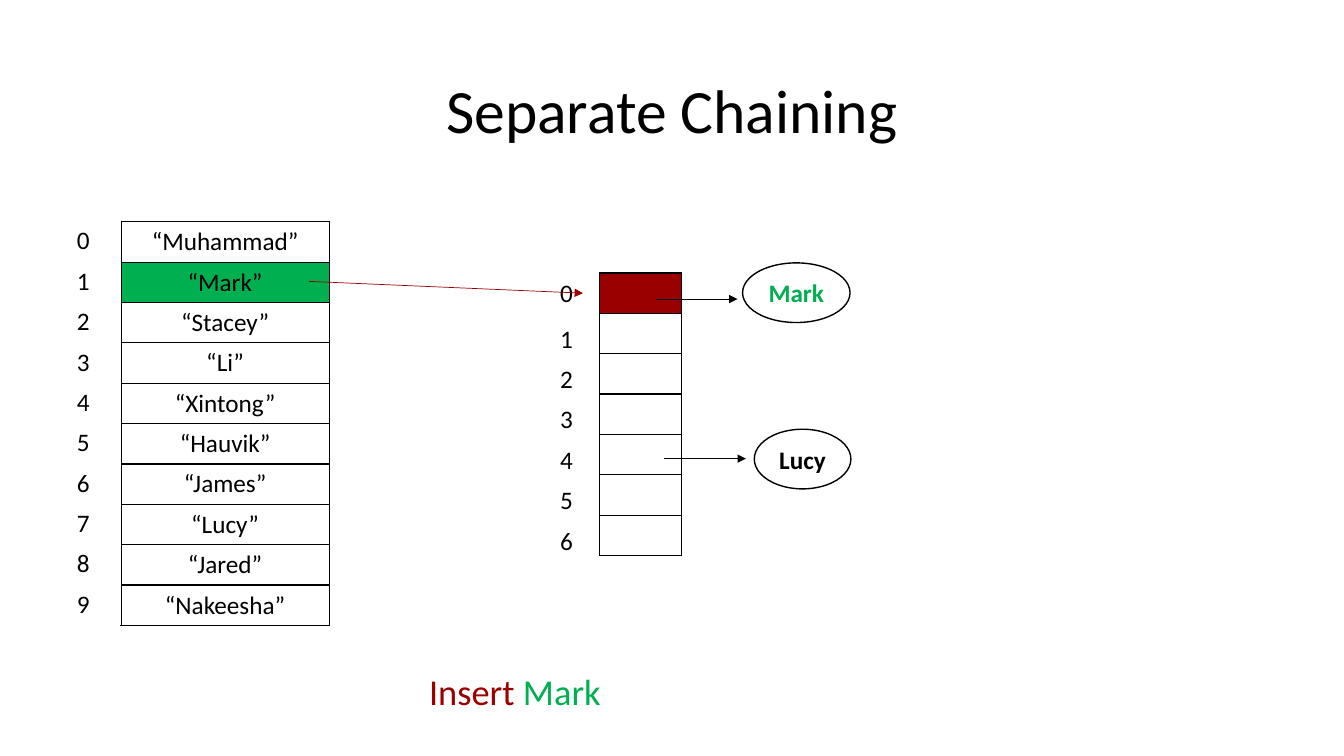
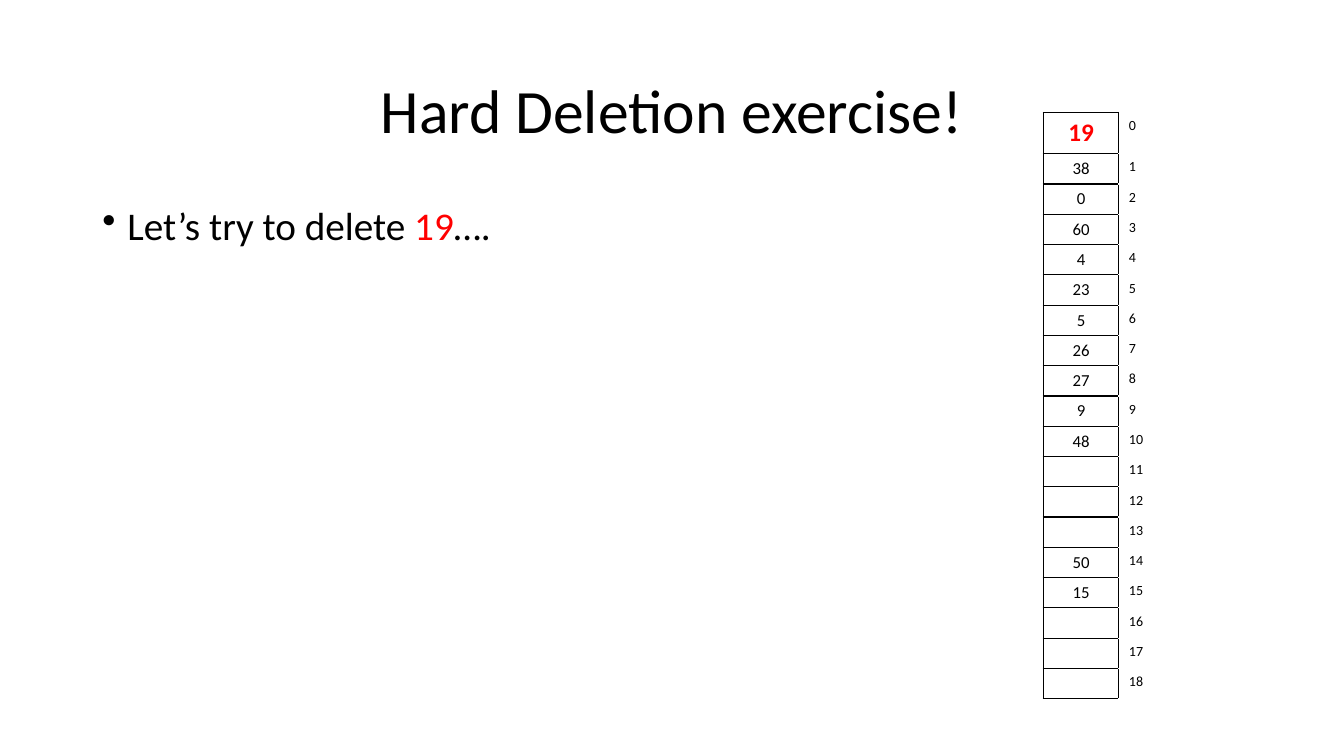
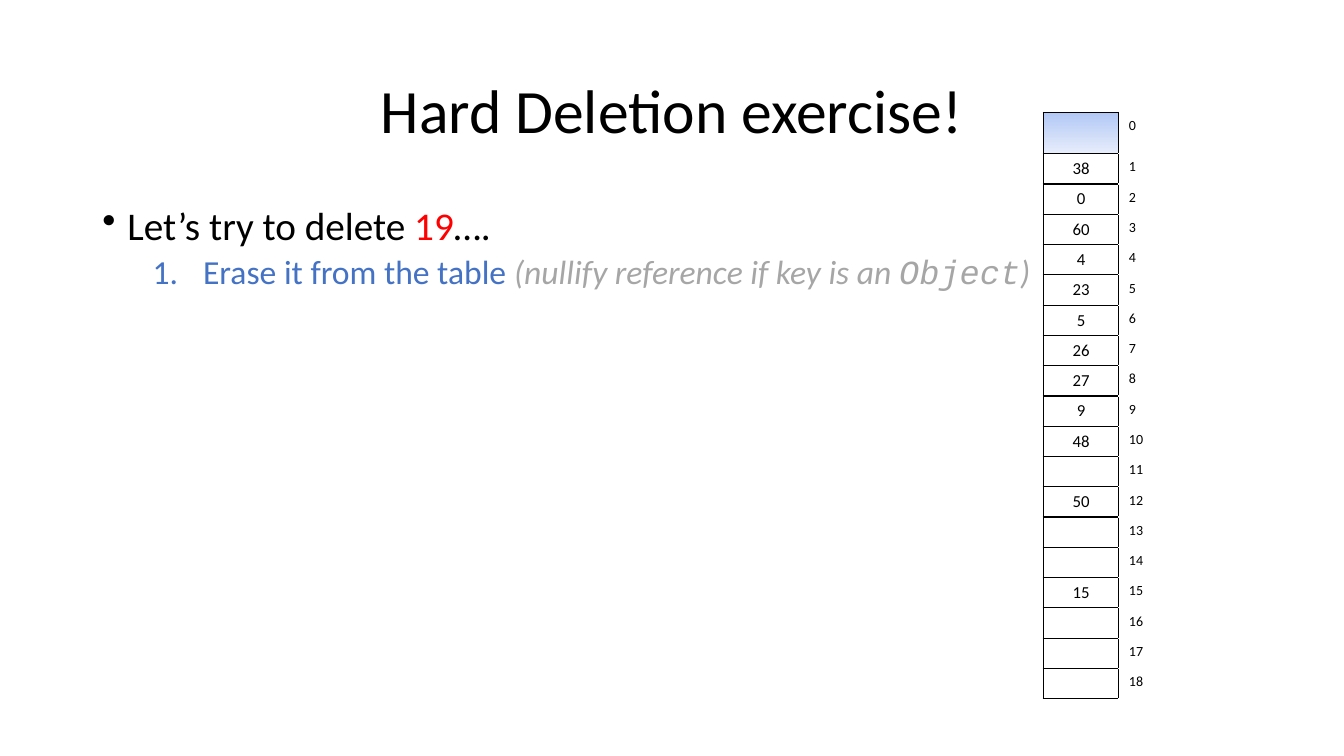
from lxml import etree
from pptx import Presentation
from pptx.dml.color import RGBColor
from pptx.enum.shapes import MSO_CONNECTOR, MSO_SHAPE
from pptx.enum.text import MSO_ANCHOR, PP_ALIGN
from pptx.oxml.ns import qn
from pptx.util import Emu, Pt

CENTER, LEFT = PP_ALIGN.CENTER, PP_ALIGN.LEFT
MIDDLE = MSO_ANCHOR.MIDDLE
OVAL, STRAIGHT = MSO_SHAPE.OVAL, MSO_CONNECTOR.STRAIGHT
FONT, CODE_FONT = "Calibri", "Courier New"
BLACK, WHITE, RED, DARK_RED = "000000", "FFFFFF", "FF0000", "990000"
GREEN, BLUE, GRAY = "00B050", "4472C4", "A6A6A6"
color = RGBColor.from_string

presentation = Presentation()
presentation.slide_width = Emu(12192000)
presentation.slide_height = Emu(6858000)
COLUMN = presentation.slide_width // 1600
ROW = presentation.slide_height // 900


def write_runs(paragraph, size, runs, bold=False):
    """Fill a paragraph with (text, colour, font, italic) runs."""
    for text, run_color, font_name, italic in runs:
        run = paragraph.add_run()
        run.text = text
        run.font.name = font_name
        run.font.size = Pt(size)
        run.font.color.rgb = color(run_color)
        run.font.bold = bold
        run.font.italic = italic


def add_grid(slide, left, top, widths, heights, columns, sizes, bordered=True):
    """Add a table of columns; only the first column can have cell borders."""
    table = slide.shapes.add_table(
        len(heights), len(widths), left * COLUMN, top * ROW,
        sum(widths) * COLUMN, sum(heights) * ROW).table
    table.first_row = table.horz_banding = False
    for row, height in zip(table.rows, heights):
        row.height = height * ROW
    for column_index, texts in enumerate(columns):
        table.columns[column_index].width = widths[column_index] * COLUMN
        sides = ("lnL", "lnR", "lnT", "lnB") if column_index == 0 else ("lnL",)
        for row_index, text in enumerate(texts):
            cell = table.cell(row_index, column_index)
            if bordered:
                for side in sides:
                    line = etree.SubElement(
                        cell._tc.get_or_add_tcPr(), qn(f"a:{side}"), w=str(Pt(1)))
                    fill = etree.SubElement(line, qn("a:solidFill"))
                    etree.SubElement(fill, qn("a:srgbClr"), val=BLACK)
            cell.fill.background()
            paragraph = cell.text_frame.paragraphs[0]
            paragraph.alignment = LEFT if column_index else CENTER
            if text:
                write_runs(paragraph, sizes[column_index], [(text, BLACK, FONT, False)])
            else:
                etree.SubElement(paragraph._p, qn("a:endParaRPr"),
                                 sz=str(sizes[column_index] * 100))
    return table


# Slides and titles
slides = []
for title in ("Separate Chaining", "Hard Deletion exercise!", "Hard Deletion exercise!"):
    slide = presentation.slides.add_slide(presentation.slide_layouts[6])
    slides.append(slide)
    text_frame = slide.shapes.add_textbox(
        110 * COLUMN, 48 * ROW, 1380 * COLUMN, 174 * ROW).text_frame
    text_frame.word_wrap = True
    text_frame.vertical_anchor = MIDDLE
    paragraph = text_frame.paragraphs[0]
    paragraph.alignment = CENTER
    paragraph.line_spacing = 0.9
    write_runs(paragraph, 44, [(title, BLACK, FONT, False)])
chaining, deletion, erased = slides

# Separate chaining: hash table and the inner table of one bucket
names = ["Muhammad", "Mark", "Stacey", "Li", "Xintong",
         "Hauvik", "James", "Lucy", "Jared", "Nakeesha"]
bucket_count = 7
bucket_indices = [str(index) for index in range(bucket_count)]
add_grid(chaining, 626, 325, [97], [55] + [48] * (bucket_count - 1),
         [bucket_indices], [18], bordered=False)
buckets = add_grid(chaining, 714, 325, [97], [48] * bucket_count,
                   [[""] * bucket_count], [18])
name_table = add_grid(chaining, 144, 264, [248], [48] * len(names),
                      [[f"“{name}”" for name in names]], [18])
add_grid(chaining, 55, 263, [88], [48] * len(names),
         [[str(index) for index in range(len(names))]], [18], bordered=False)
for table, row_index, fill_color in ((buckets, 0, DARK_RED), (buckets, 4, WHITE),
                                     (name_table, 1, GREEN), (name_table, 7, WHITE)):
    cell = table.cell(row_index, 0)
    cell.fill.solid()
    cell.fill.fore_color.rgb = color(fill_color)

text_frame = chaining.shapes.add_textbox(
    499 * COLUMN, 791 * ROW, 251 * COLUMN, 65 * ROW).text_frame
text_frame.word_wrap = True
write_runs(text_frame.paragraphs[0], 26,
           [("Insert ", DARK_RED, FONT, False), ("Mark", GREEN, FONT, False)])

for start_x, start_y, end_x, end_y, line_color in (
        (368, 335, 694, 349, DARK_RED),
        (791, 546, 888, 546, BLACK),
        (781, 356, 878, 356, BLACK)):
    arrow = chaining.shapes.add_connector(
        STRAIGHT, start_x * COLUMN, start_y * ROW, end_x * COLUMN, end_y * ROW)
    arrow.line.color.rgb = color(line_color)
    arrow.line.width = Pt(0.5)
    etree.SubElement(arrow.line._get_or_add_ln(), qn("a:tailEnd"), type="triangle")
    etree.SubElement(arrow._element.spPr, qn("a:effectLst"))

for name, left, top, width, text_color in (("Lucy", 898, 511, 115, BLACK),
                                           ("Mark", 884, 313, 128, GREEN)):
    node = chaining.shapes.add_shape(
        OVAL, left * COLUMN, top * ROW, width * COLUMN, 71 * ROW)
    node.shadow.inherit = False
    node.fill.solid()
    node.fill.fore_color.rgb = color(WHITE)
    node.line.color.rgb = color(BLACK)
    node.line.width = Pt(1)
    node.text_frame.word_wrap = False
    node.text_frame.vertical_anchor = MIDDLE
    paragraph = node.text_frame.paragraphs[0]
    paragraph.alignment = CENTER
    write_runs(paragraph, 18, [(name, text_color, FONT, False)], bold=True)

# Hard deletion: steps on the left, hash table on the right
# Each step: size, space before, left margin, indent, bullet tag and attributes, runs
task = (28, 10, 0.25, -0.25, "buChar", {"char": "•"},
        [("Let’s try to delete ", BLACK, FONT, False),
         ("19", RED, FONT, False), ("….", BLACK, FONT, False)])
erase_step = (24, 5, 1, -0.5, "buAutoNum", {"type": "arabicPeriod"},
              [("Erase it from the table ", BLUE, FONT, False),
               ("(nullify reference if key is an ", GRAY, FONT, True),
               ("Object", GRAY, CODE_FONT, True), (")", GRAY, FONT, True)])
first_keys = ["38", "0", "60", "4", "23", "5", "26", "27", "9", "48", ""]
deletion_keys = ["19", *first_keys, "", "", "50", "15", "", "", ""]
erased_keys = ["", *first_keys, "50", "", "", "15", "", "", ""]
key_tables = []
for slide, steps, keys in ((deletion, [task], deletion_keys),
                           (erased, [task, erase_step], erased_keys)):
    text_frame = slide.shapes.add_textbox(
        110 * COLUMN, 240 * ROW, 1380 * COLUMN, 571 * ROW).text_frame
    text_frame.word_wrap = True
    for level, (size, space, margin, indent, tag, attributes, runs) in enumerate(steps):
        paragraph = text_frame.add_paragraph() if level else text_frame.paragraphs[0]
        paragraph.level = level
        paragraph.line_spacing = 0.9
        paragraph.space_before = Pt(space)
        properties = paragraph._p.get_or_add_pPr()
        properties.set("marL", str(int(margin * 914400)))
        properties.set("indent", str(int(indent * 914400)))
        etree.SubElement(properties, qn(f"a:{tag}"), attributes)
        write_runs(paragraph, size, runs)
    key_tables.append(add_grid(
        slide, 1242, 134, [90, 86], [49] + [36] * (len(keys) - 1),
        [keys, [str(index) for index in range(len(keys))]], [12, 10]))

deleted_key = key_tables[0].cell(0, 0).text_frame.paragraphs[0].runs[0]
deleted_key.font.size = Pt(18)
deleted_key.font.bold = True
deleted_key.font.color.rgb = color(RED)

erased_fill = key_tables[1].cell(0, 0).fill
erased_fill.gradient()
erased_fill.gradient_angle = 270
for stop, stop_color in zip(erased_fill.gradient_stops, ("B2C8F5", "E7EDFB")):
    stop.color.rgb = color(stop_color)

presentation.save("out.pptx")
